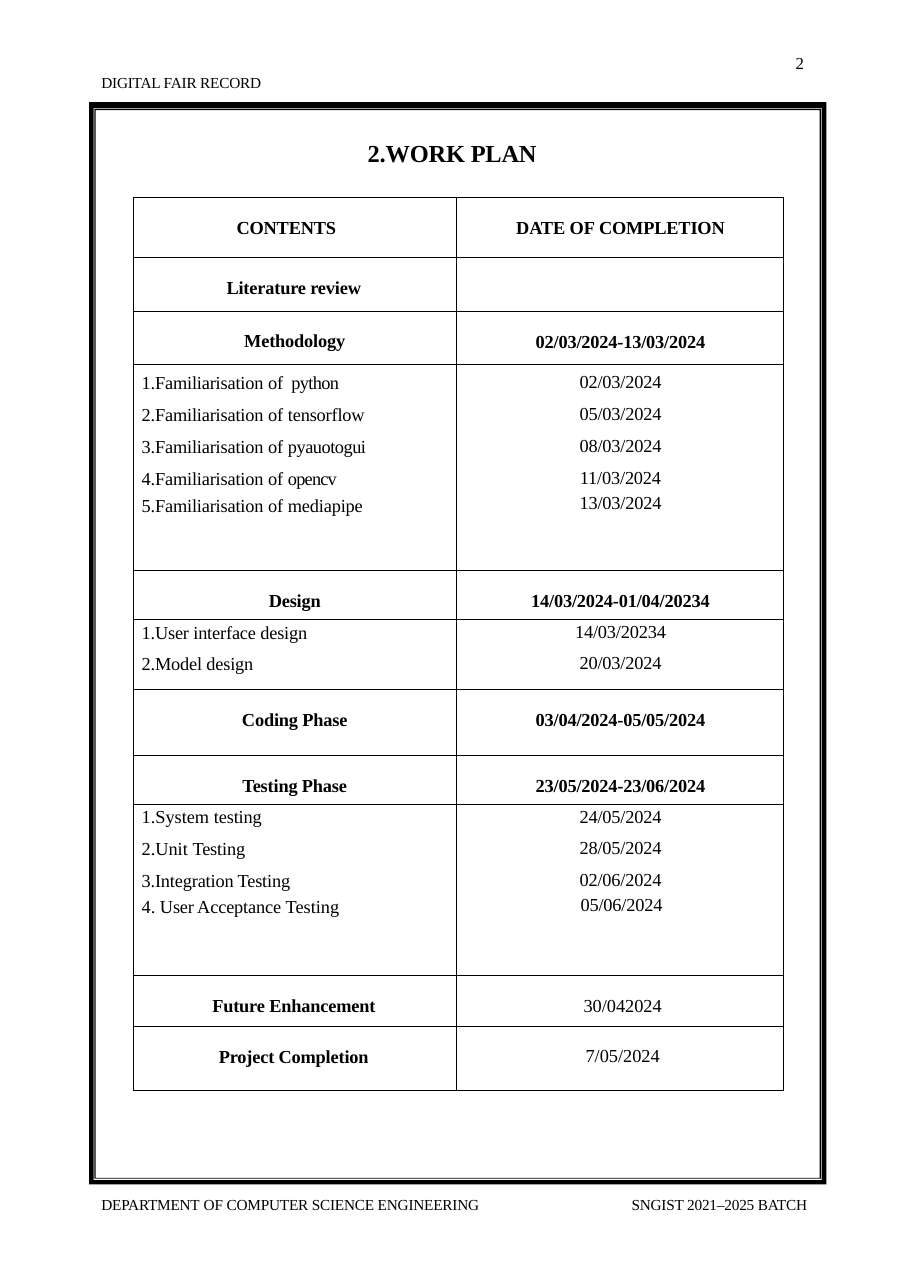
from lxml import etree
from pptx import Presentation
from pptx import util as u
from pptx.dml.color import RGBColor
from pptx.enum import text
from pptx.oxml import ns

BLACK = RGBColor(0x00, 0x00, 0x00)
TIGHT = -0.1

FRAME_RECTANGLES = [
    (2.06, 2.36, 19.08, 27.33),
    (2.16, 2.49, 18.97, 27.23),
    (2.18, 2.51, 18.95, 27.2),
    (2.21, 2.54, 18.92, 27.18),
]

COLUMN_WIDTHS = [7.47, 7.54]


def heading(height, label, date, indent=None, tops=(0.48, 0.47), date_bold=True, date_indent=0.03):
    """Describe a ruled row with a bold label."""
    label_cell = (label, tops[0], indent, True)
    return height, True, [label_cell, (date, tops[1], None, date_bold, date_indent)]


def item(height, label, date, tops=(0.1, 0.08), last=False, date_indent=0.03):
    """Describe a plain task row, ruled below when it ends its group."""
    return height, last, [(label, tops[0], 0.2, False), (date, tops[1], None, False, date_indent)]


def library(number, name, spacing=TIGHT, gap=" "):
    """Give the runs of a task on getting to know a library."""
    return [(f"{number}.Familiarisation ", TIGHT), ("of" + gap, 0), (name, spacing)]


ROWS = [
    heading(1.4, "CONTENTS", [("DATE ", TIGHT), ("OF ", 0), ("COMPLETION", TIGHT)], 2.39, (0.48, 0.48)),
    heading(1.24, "Literature review", "", 2.16),
    heading(1.22, "Methodology", "02/03/2024-13/03/2024", tops=(0.46, 0.48)),
    item(0.84, library(1, "  python", -0.4, ""), "02/03/2024", (0.2, 0.18)),
    item(0.74, library(2, "tensorflow"), "05/03/2024"),
    item(0.74, library(3, "pyauotogui", -0.3), "08/03/2024"),
    item(0.66, library(4, "opencv", -0.5), "11/03/2024"),
    item(1.78, library(5, "mediapipe"), "13/03/2024", (0.05, 0), last=True),
    heading(1.12, "Design", "14/03/2024-01/04/20234"),
    item(0.71, "1.User interface design", "14/03/20234", (0.08, 0.07)),
    item(0.91, "2.Model design", "20/03/2024", last=True),
    heading(1.52, "Coding Phase", "03/04/2024-05/05/2024"),
    heading(1.12, "Testing Phase", "23/05/2024-23/06/2024"),
    item(0.71, [("1.System ", 0), ("testing", TIGHT)], "24/05/2024", (0.08, 0.07)),
    item(0.74, [("2.Unit ", 0), ("Testing", TIGHT)], "28/05/2024"),
    item(0.66, "3.Integration Testing", "02/06/2024"),
    item(1.85, [("4. ", 0), ("User Acceptance ", TIGHT), ("Testing", 0)], "05/06/2024",
         (0.05, 0), last=True, date_indent=0.08),
    heading(1.17, "Future Enhancement", [("30/042024", 0)], 1.83, date_bold=False, date_indent=0.13),
    heading(1.47, "Project Completion", [("7/05/2024", 0)], 1.98, date_bold=False, date_indent=0.13),
]


class RecordPage:
    """Hold the page style and the slide being drawn."""

    font_name = "Times New Roman"
    rule_width = u.Pt(0.5)

    def __init__(self, slide):
        """Keep the slide to draw on."""
        self.slide = slide

    def add_runs(self, paragraph, content, size, bold=False):
        """Add text run by run, each run with its letter spacing."""
        runs = [(content, TIGHT)] if isinstance(content, str) else content
        for wording, spacing in runs:
            run = paragraph.add_run()
            run.text = wording
            run.font.name = self.font_name
            run.font.size = u.Pt(size)
            run.font.bold = bold
            run.font.color.rgb = BLACK
            if spacing:
                run._r.get_or_add_rPr().set("spc", str(round(spacing * 100)))

    def label(self, left, top, width, height, content, size=10, bold=False, inset=0.03, line_points=None):
        """Add a text box without side margins."""
        shape = self.slide.shapes.add_textbox(u.Cm(left), u.Cm(top), u.Cm(width), u.Cm(height))
        frame = shape.text_frame
        frame.word_wrap = True
        frame.auto_size = text.MSO_AUTO_SIZE.SHAPE_TO_FIT_TEXT
        frame.margin_left = u.Cm(0.03)
        frame.margin_right = frame.margin_bottom = 0
        frame.margin_top = u.Cm(inset)
        paragraph = frame.paragraphs[0]
        if line_points:
            paragraph.line_spacing = u.Pt(line_points)
        self.add_runs(paragraph, content, size, bold)

    def border(self, rectangles):
        """Draw nested rings as one outline, alternating the direction."""
        builder = None
        for index, (left, top, right, bottom) in enumerate(rectangles):
            corners = [(right, top), (right, bottom), (left, bottom)]
            if index % 2:
                corners.reverse()
            start = u.Cm(left), u.Cm(top)
            if builder is None:
                builder = self.slide.shapes.build_freeform(*start)
            else:
                builder.move_to(*start)
            builder.add_line_segments([(u.Cm(x), u.Cm(y)) for x, y in corners])
        shape = builder.convert_to_shape()
        shape.shadow.inherit = False
        shape.fill.solid()
        shape.fill.fore_color.rgb = BLACK
        shape.line.fill.background()

    def rule(self, cell, above, below):
        """Rule the sides of a cell, and its top and bottom where asked."""
        properties = cell._tc.get_or_add_tcPr()
        for tag, ruled in (("a:lnL", True), ("a:lnR", True), ("a:lnT", above), ("a:lnB", below)):
            line = etree.SubElement(properties, ns.qn(tag), w=str(self.rule_width))
            if ruled:
                fill = etree.SubElement(line, ns.qn("a:solidFill"))
                etree.SubElement(fill, ns.qn("a:srgbClr"), val=str(BLACK))
            else:
                etree.SubElement(line, ns.qn("a:noFill"))

    def fill_cell(self, cell, content, top, indent, bold, shift=0):
        """Put text in a cell, centred unless it has an indent."""
        cell.margin_left = u.Cm(shift if indent is None else indent)
        cell.margin_right = cell.margin_bottom = 0
        cell.margin_top = u.Cm(top)
        paragraph = cell.text_frame.paragraphs[0]
        if indent is None:
            paragraph.alignment = text.PP_ALIGN.CENTER
        if content:
            self.add_runs(paragraph, content, 12, bold)

    def table(self, left, top, widths, rows):
        """Add the ruled schedule."""
        height = sum(row[0] for row in rows)
        table = self.slide.shapes.add_table(
            len(rows), len(widths), u.Cm(left), u.Cm(top), u.Cm(sum(widths)), u.Cm(height)).table
        table.first_row = table.horz_banding = False
        for column, width in zip(table.columns, widths):
            column.width = u.Cm(width)
        above = True
        for row, (row_height, below, cells) in zip(table.rows, rows):
            row.height = u.Cm(row_height)
            for cell, values in zip(row.cells, cells):
                self.rule(cell, above, below)
                cell.fill.background()
                self.fill_cell(cell, *values)
            above = below


def main():
    """Build the work plan page."""
    presentation = Presentation()
    presentation.slide_width = u.Cm(21.03)
    presentation.slide_height = u.Cm(29.72)
    page = RecordPage(presentation.slides.add_slide(presentation.slide_layouts[6]))
    page.label(2.31, 27.58, 9.02, 0.46,
               [("DEPARTMENT", TIGHT), (" OF", 0), (" COMPUTER SCIENCE ENGINEERING", TIGHT)],
               inset=0, line_points=11.9)
    page.border(FRAME_RECTANGLES)
    page.table(3.07, 4.55, COLUMN_WIDTHS, ROWS)
    page.label(8.46, 3.15, 4.01, 0.74, "2.WORK PLAN", size=16, bold=True)
    page.label(2.31, 1.65, 3.91, 0.48, "DIGITAL FAIR RECORD")
    page.label(18.34, 1.19, 0.25, 1.02, [("2", 0)], size=11)
    page.label(14.55, 27.58, 4.27, 0.43, "SNGIST 2021–2025 BATCH", inset=0, line_points=11.9)
    presentation.save("out.pptx")


if __name__ == "__main__":
    main()
